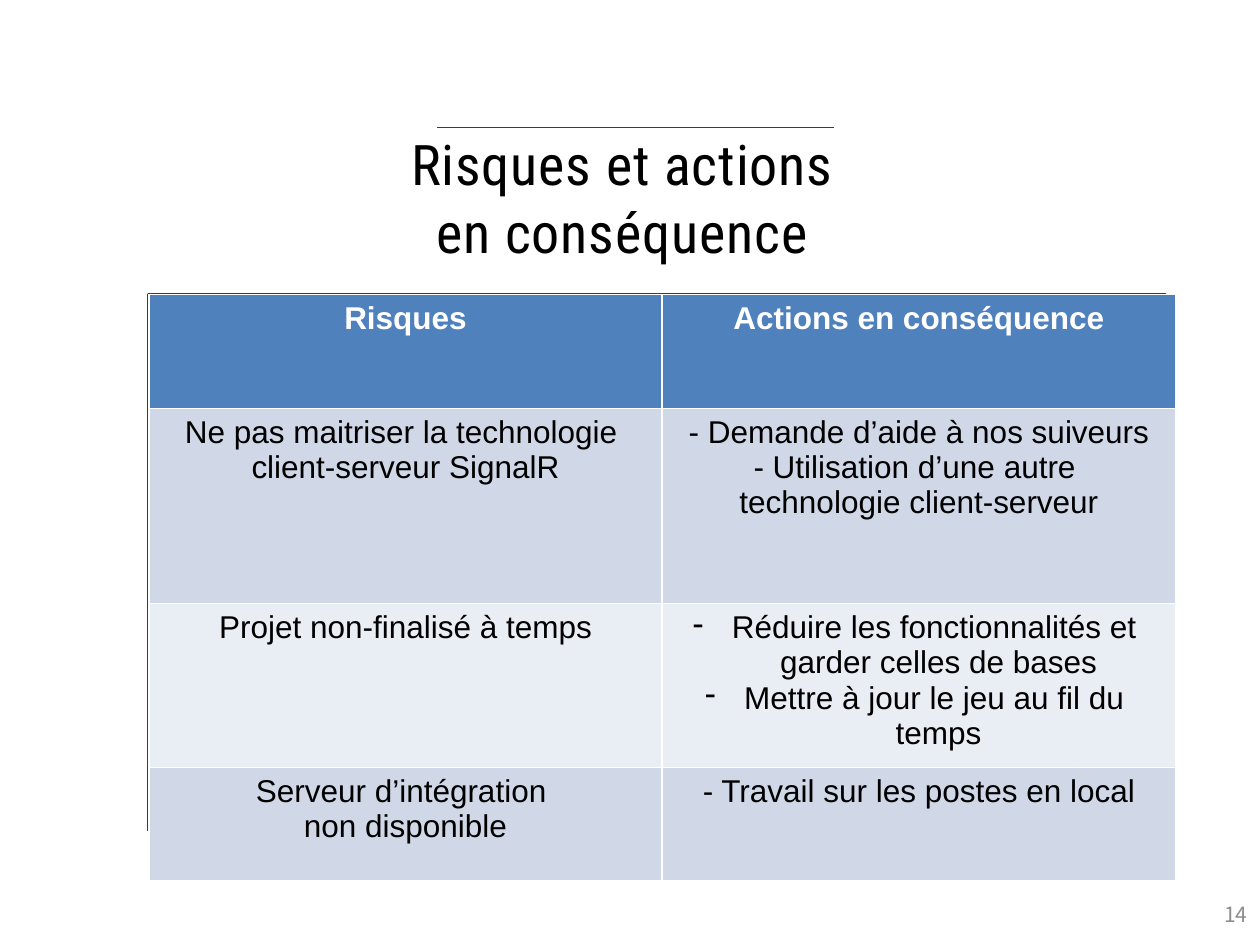
from lxml.etree import SubElement
from pptx import Presentation
from pptx.dml.color import RGBColor
from pptx.enum.shapes import MSO_CONNECTOR as Connector, MSO_SHAPE as Shape
from pptx.enum.text import MSO_ANCHOR as Anchor, PP_ALIGN as Align
from pptx.oxml.ns import qn
from pptx.util import Cm, Pt

BLACK = RGBColor(0x00, 0x00, 0x00)
WHITE = RGBColor(0xFF, 0xFF, 0xFF)
RULE = RGBColor(0x3B, 0x3B, 0x3B)
NUMBER = RGBColor(0x8C, 0x8C, 0x8C)
HEADER = RGBColor(0x4F, 0x81, 0xBD)
BANDS = (RGBColor(0xD0, 0xD8, 0xE8), RGBColor(0xE9, 0xED, 0xF4))

TABLE_LEFT, TABLE_TOP = Cm(3), Cm(5.94)
COLUMN_WIDTH = Cm(10.35)
ROW_HEIGHTS = (Cm(2.29), Cm(3.94), Cm(3.3), Cm(2.29))
BULLET = "• "

# Each cell is a list of paragraphs; a leading BULLET asks for a hanging dash.
ROWS = (
    (["Risques"], ["Actions en conséquence"]),
    (["Ne pas maitriser la technologie \nclient-serveur SignalR"],
     ["- Demande d’aide à nos suiveurs",
      "- Utilisation d’une autre \ntechnologie client-serveur"]),
    (["Projet non-finalisé à temps"],
     [BULLET + "Réduire les fonctionnalités et \ngarder celles de bases",
      BULLET + "Mettre à jour le jeu au fil du \ntemps"]),
    (["Serveur d’intégration \nnon disponible"],
     ["- Travail sur les postes en local"]),
)


def add_dash(para):
    properties = para._p.get_or_add_pPr()
    properties.set("marL", str(Cm(0.79)))
    properties.set("indent", str(-Cm(0.79)))
    SubElement(properties, qn("a:buChar")).set("char", "-")


def write(frame, lines, font, size, color, align=Align.CENTER, bold=False, spacing=0):
    """Fill a text frame with one paragraph a line; spacing is in points."""
    for index, line in enumerate(lines):
        para = frame.add_paragraph() if index else frame.paragraphs[0]
        para.text = line.removeprefix(BULLET)
        para.alignment = align
        if line.startswith(BULLET):
            add_dash(para)
        para.font.name = font
        para.font.size = Pt(size)
        para.font.bold = bold
        para.font.color.rgb = color
        if spacing:
            for span in para.runs:
                span._r.get_or_add_rPr().set("spc", str(round(spacing * 100)))


def add_frame(page):
    frame = page.shapes.add_shape(
        Shape.RECTANGLE, TABLE_LEFT, TABLE_TOP, Cm(20.5), Cm(10.8))
    frame.shadow.inherit = False
    frame.fill.background()
    frame.line.color.rgb = RULE
    frame.line.width = Pt(2)


def add_title(page):
    box = page.shapes.add_textbox(Cm(6.32), Cm(2.62), Cm(12.73), Cm(2.74))
    text = box.text_frame
    text.word_wrap = True
    text.margin_left = text.margin_top = text.margin_right = text.margin_bottom = 0
    write(text, ["Risques et actions ", "en conséquence "],
          "Roboto Condensed", 32, BLACK, spacing=0.5)


def add_rule(page):
    y = Cm(2.57)
    rule = page.shapes.add_connector(Connector.STRAIGHT, Cm(8.81), y, Cm(16.81), y)
    rule.line.color.rgb = RULE
    rule.line.width = Pt(0.75)
    SubElement(rule._element.spPr, qn("a:effectLst"))


def add_page_number(page):
    box = page.shapes.add_textbox(Cm(19.48), Cm(17.91), Cm(5.92), Cm(1.02))
    box.text_frame.word_wrap = True
    box.text_frame.vertical_anchor = Anchor.MIDDLE
    write(box.text_frame, ["14"], "Noto Sans CJK KR", 12, NUMBER, Align.RIGHT)


def add_risk_table(page):
    table = page.shapes.add_table(
        len(ROWS), 2, TABLE_LEFT, TABLE_TOP, 2 * COLUMN_WIDTH, sum(ROW_HEIGHTS)).table
    for column in table.columns:
        column.width = COLUMN_WIDTH
    for index, (row, height, contents) in enumerate(zip(table.rows, ROW_HEIGHTS, ROWS)):
        row.height = height
        is_header = index == 0
        for cell, lines in zip(row.cells, contents):
            cell.fill.solid()
            cell.fill.fore_color.rgb = HEADER if is_header else BANDS[(index - 1) % 2]
            write(cell.text_frame, lines, "Arial", 18,
                  WHITE if is_header else BLACK, bold=is_header)


def main():
    deck = Presentation()
    deck.slide_width, deck.slide_height = Cm(25.4), Cm(19.05)
    page = deck.slides.add_slide(deck.slide_layouts[6])
    add_frame(page)
    add_title(page)
    add_rule(page)
    add_page_number(page)
    add_risk_table(page)
    deck.save("out.pptx")


if __name__ == "__main__":
    main()
